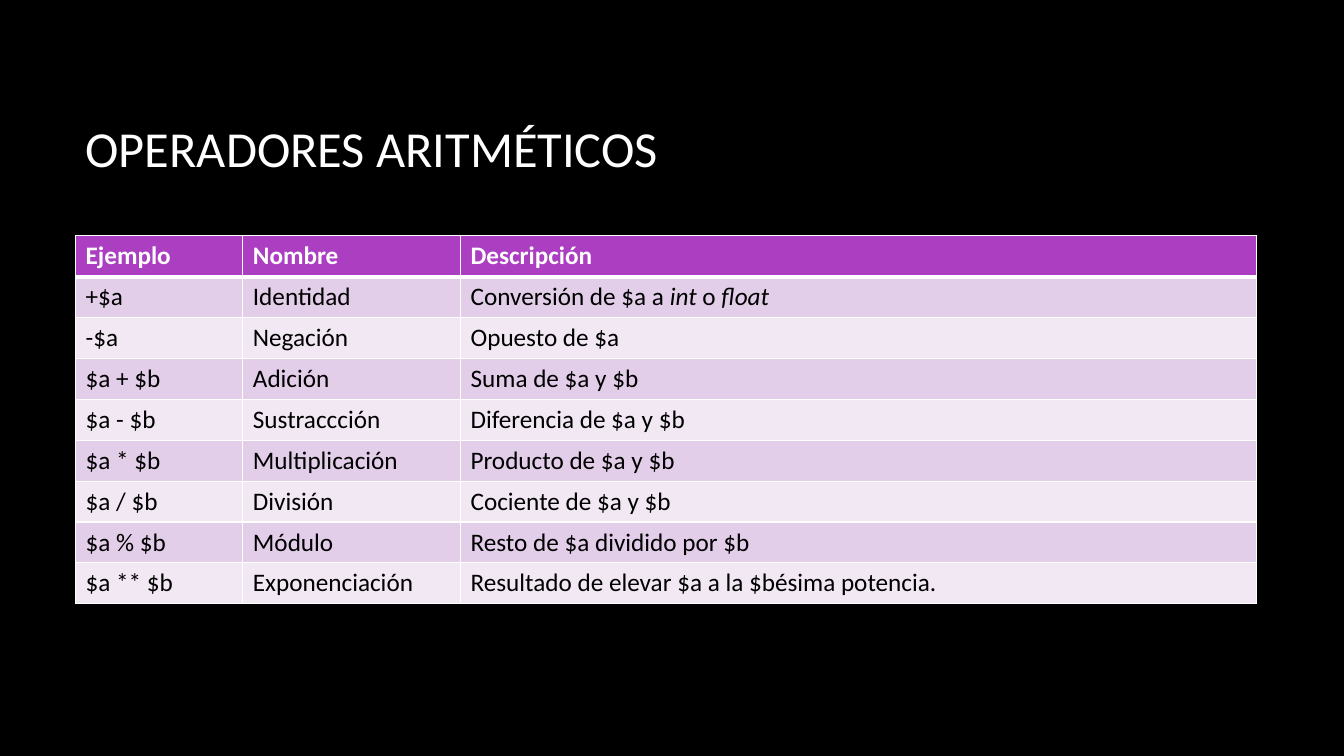
import pptx
import pptx.dml.color
import pptx.enum.text
import pptx.oxml
import pptx.oxml.ns
import pptx.util
from pptx.util import Pt

RGBColor = pptx.dml.color.RGBColor
PP_ALIGN = pptx.enum.text.PP_ALIGN

TITLE = "OPERADORES ARITMÉTICOS"
HEADER = ("Ejemplo", "Nombre", "Descripción")
OPERATORS = [
    ("+$a", "Identidad", ("Conversión de $a a ", "int ", "o ", "float")),
    ("-$a", "Negación", "Opuesto de $a"),
    ("$a + $b", "Adición", "Suma de $a y $b"),
    ("$a - $b", "Sustraccción", "Diferencia de $a y $b"),
    ("$a * $b", "Multiplicación", "Producto de $a y $b"),
    ("$a / $b", "División", "Cociente de $a y $b"),
    ("$a % $b", "Módulo", "Resto de $a dividido por $b"),
    ("$a ** $b", "Exponenciación", "Resultado de elevar $a a la $bésima potencia."),
]
ITALIC_WORDS = ("int", "float")

BLACK = RGBColor(0x00, 0x00, 0x00)
WHITE = RGBColor(0xFF, 0xFF, 0xFF)
PURPLE = RGBColor(0xAC, 0x3E, 0xC1)
LILAC = RGBColor(0xE3, 0xCE, 0xE9)
PALE_LILAC = RGBColor(0xF1, 0xE8, 0xF4)

FONT = "Calibri"
LEFT = 54
TABLE_TOP = 168.5
ROW_HEIGHT = 29.2
COLUMN_WIDTHS = (119.5, 155.5, 568.8)


def add_run(paragraph, text, size, color, bold=False, italic=False):
    run = paragraph.add_run()
    run.text = text
    run.font.name = FONT
    run.font.size = Pt(size)
    run.font.color.rgb = color
    run.font.bold = bold
    run.font.italic = italic


def set_borders(cell, bottom_width, top_width):
    widths = {"lnL": 1, "lnR": 1, "lnT": top_width, "lnB": bottom_width}
    properties = cell._tc.get_or_add_tcPr()
    for position, (side, width) in enumerate(widths.items()):
        line = pptx.oxml.parse_xml(
            f'<a:{side} {pptx.oxml.ns.nsdecls("a")} w="{Pt(width)}">'
            f'<a:solidFill><a:srgbClr val="{WHITE}"/></a:solidFill></a:{side}>'
        )
        properties.insert(position, line)


def add_title(slide):
    title = slide.shapes.title
    title.left, title.top, title.width, title.height = Pt(LEFT), Pt(48), Pt(798), Pt(114.5)
    frame = title.text_frame
    frame.word_wrap = True
    frame.vertical_anchor = pptx.enum.text.MSO_ANCHOR.MIDDLE
    paragraph = frame.paragraphs[0]
    paragraph.alignment = PP_ALIGN.LEFT
    add_run(paragraph, TITLE, 36, WHITE)


def add_operator_table(slide):
    rows = [HEADER] + OPERATORS
    table = slide.shapes.add_table(
        len(rows), len(HEADER), Pt(LEFT), Pt(TABLE_TOP),
        Pt(sum(COLUMN_WIDTHS)), Pt(ROW_HEIGHT * len(rows)),
    ).table
    for column, width in zip(table.columns, COLUMN_WIDTHS):
        column.width = Pt(width)
    for row_index, values in enumerate(rows):
        table.rows[row_index].height = Pt(ROW_HEIGHT)
        is_header = row_index == 0
        fill = PURPLE if is_header else (PALE_LILAC, LILAC)[row_index % 2]
        for column_index, value in enumerate(values):
            cell = table.cell(row_index, column_index)
            cell.fill.solid()
            cell.fill.fore_color.rgb = fill
            set_borders(cell, 3 if is_header else 1, 3 if row_index == 1 else 1)
            paragraph = cell.text_frame.paragraphs[0]
            pieces = (value,) if isinstance(value, str) else value
            paragraph.alignment = PP_ALIGN.LEFT if len(pieces) == 1 else PP_ALIGN.JUSTIFY
            for piece in pieces:
                add_run(paragraph, piece, 18, WHITE if is_header else BLACK,
                        bold=is_header, italic=piece.strip() in ITALIC_WORDS)


def main():
    presentation = pptx.Presentation()
    presentation.slide_width, presentation.slide_height = Pt(960), Pt(540)
    slide = presentation.slides.add_slide(presentation.slide_layouts[5])
    slide.background.fill.solid()
    slide.background.fill.fore_color.rgb = BLACK
    add_title(slide)
    add_operator_table(slide)
    presentation.save("out.pptx")


if __name__ == "__main__":
    main()
